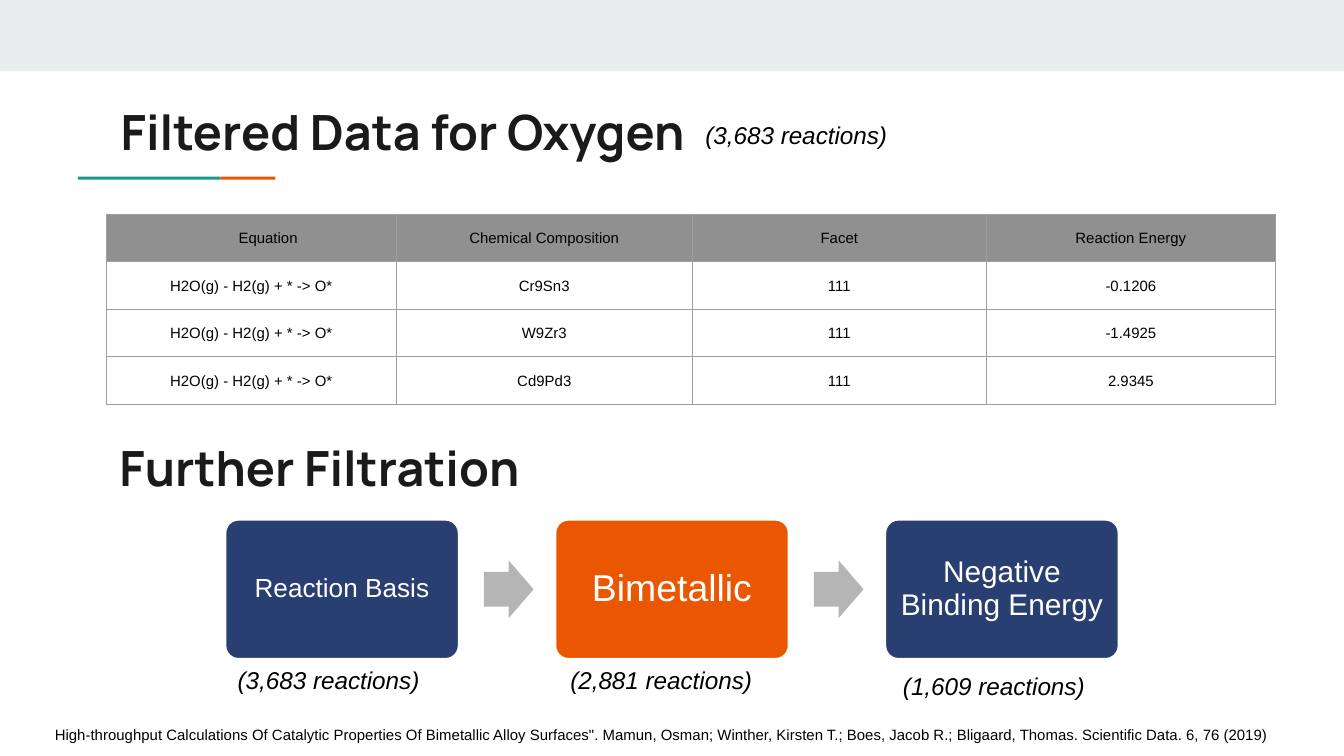
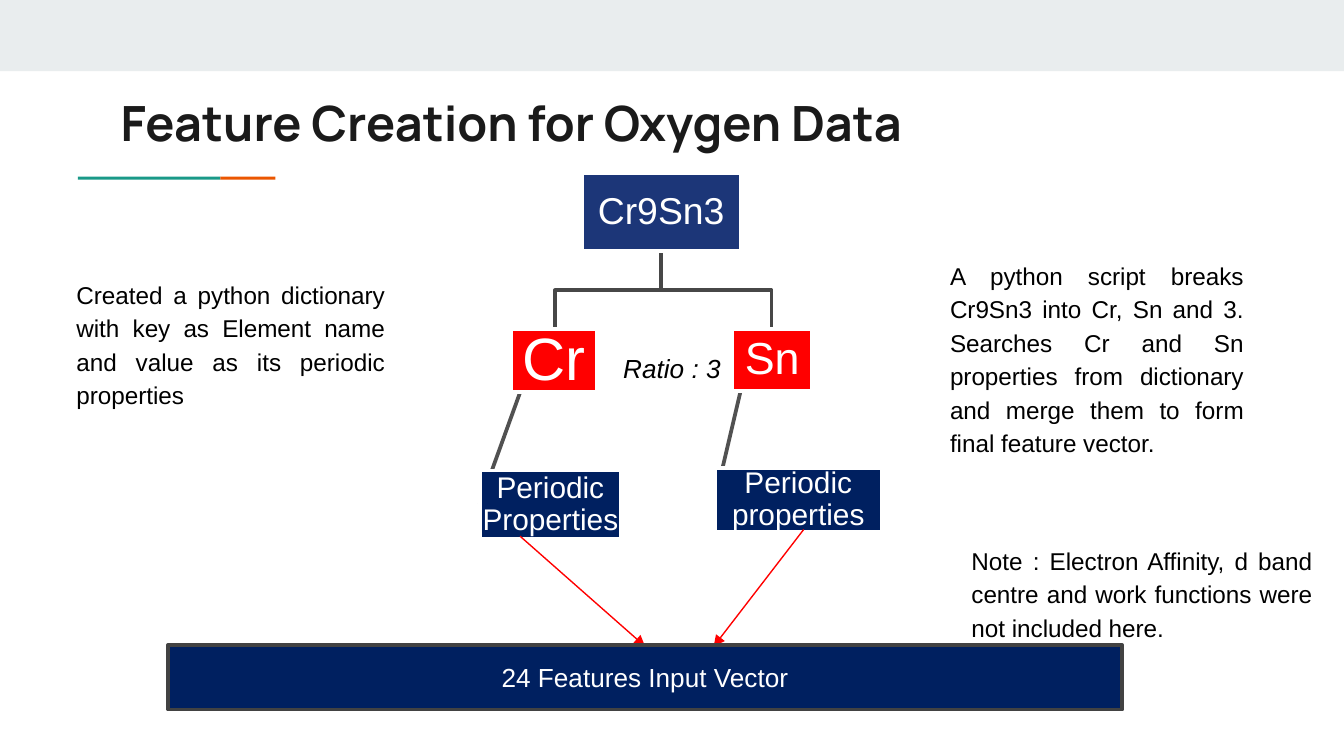
"""Build two slides on filtering oxygen reactions and creating features from them."""
import dataclasses

import lxml.etree
import pptx
import pptx.dml.color
import pptx.enum.shapes
import pptx.enum.text
import pptx.oxml
import pptx.oxml.ns
import pptx.util


@dataclasses.dataclass(frozen=True)
class Theme:
    head: str = "Manrope"
    body: str = "Arial"
    ink: str = "1A1A1A"
    black: str = "000000"
    white: str = "FFFFFF"
    band: str = "E9EDEE"
    teal: str = "1A9988"
    orange: str = "EB5600"
    navy: str = "002060"
    slate: str = "293E71"
    blue: str = "1C3678"
    red: str = "FF0000"
    arrow: str = "B5B5B5"
    gray: str = "808080"
    rule: str = "9E9E9E"
    stem: str = "474747"
    twig: str = "515151"
    frame: str = "424242"
    title: int = 26
    note: int = 13
    label: int = 14
    mid: int = 16
    large: int = 20
    small: int = 8


theme = Theme()
Color = pptx.dml.color.RGBColor.from_string
Form = pptx.enum.shapes.MSO_SHAPE
Align = pptx.enum.text.PP_ALIGN
Anchor = pptx.enum.text.MSO_ANCHOR
Pt = pptx.util.Pt
qn = pptx.oxml.ns.qn

deck = pptx.Presentation()
deck.slide_width = pptx.util.Inches(10)
cell = deck.slide_width // 100
deck.slide_height = int(56.25 * cell)


def say(frame, words, size, color, align=Align.LEFT, lead=1.0, face=theme.body, bold=False, slant=False):
    para = frame.paragraphs[0]
    para.alignment = align
    para.line_spacing = lead
    run = para.add_run()
    run.text = words
    font = run.font
    font.name, font.size, font.bold, font.italic = face, Pt(size), bold, slant
    font.color.rgb = Color(color)


def put(page, box, form=None, fill=None, edge=None, words="", inset=1, **style):
    spot = [int(n * cell) for n in box]
    if form is None:
        shape = page.shapes.add_textbox(*spot)
    else:
        shape = page.shapes.add_shape(form, *spot)
        shape.shadow.inherit = False
        shape.fill.solid()
        shape.fill.fore_color.rgb = Color(fill)
        shape.line.fill.background()
        if edge:
            shape.line.color.rgb = Color(edge)
            shape.line.width = Pt(2)
    if words:
        frame = shape.text_frame
        frame.word_wrap = True
        frame.vertical_anchor = Anchor.TOP if form is None else Anchor.MIDDLE
        frame.margin_left = frame.margin_right = int(inset * cell)
        frame.margin_top = frame.margin_bottom = int(inset * cell)
        say(frame, words, **style)
    return shape


head = dict(size=theme.title, color=theme.ink, face=theme.head, bold=True)
note = dict(size=theme.note, color=theme.black, align=Align.JUSTIFY, lead=1.15)
node = dict(color=theme.white, align=Align.CENTER, lead=0.9)

pages = []
for words, top in (("Filtered Data for Oxygen", 6.6), ("Feature Creation for Oxygen Data", 5.9)):
    page = deck.slides.add_slide(deck.slide_layouts[6])
    put(page, (0, 0, 100, 5.3), Form.RECTANGLE, theme.band)
    put(page, (5.8, 13.15, 10.6, 0.22), Form.RECTANGLE, theme.teal)
    put(page, (16.4, 13.15, 4.1, 0.22), Form.RECTANGLE, theme.orange)
    put(page, (8, top, 84.1, 5.9), words=words, **head)
    pages.append(page)
data, tree = pages

put(data, (51.5, 7.6, 17.2, 5), words="(3,683 reactions)", slant=True, **note)
put(data, (3.1, 53.3, 93.7, 2.9), size=theme.small, color=theme.black,
    words='High-throughput Calculations Of Catalytic Properties Of Bimetallic Alloy Surfaces". '
          'Mamun, Osman; Winther, Kirsten T.; Boes, Jacob R.; Bligaard, Thomas. '
          'Scientific Data. 6, 76 (2019)')

step = "H2O(g) - H2(g) + * -> O*"
rows = (
    ("Equation", "Chemical Composition", "Facet", "Reaction Energy"),
    (step, "Cr9Sn3", "111", "-0.1206"),
    (step, "W9Zr3", "111", "-1.4925"),
    (step, "Cd9Pd3", "111", "2.9345"),
)
spot = [int(n * cell) for n in (7.9, 15.95, 87, 13.5)]
grid = data.shapes.add_table(4, 4, *spot).table
grid.first_row = grid.horz_banding = False
for col, wide in zip(grid.columns, (21.6, 22, 21.9, 21.5)):
    col.width = int(wide * cell)
for r, row in enumerate(rows):
    for c, words in enumerate(row):
        box = grid.cell(r, c)
        box.margin_left = box.margin_right = box.margin_top = box.margin_bottom = cell
        say(box.text_frame, words, theme.small, theme.black, Align.CENTER, 1.15)
        prop = box._tc.get_or_add_tcPr()
        for side in ("a:lnL", "a:lnR", "a:lnT", "a:lnB"):
            line = lxml.etree.SubElement(prop, qn(side), w=str(Pt(0.75)))
            paint = lxml.etree.SubElement(line, qn("a:solidFill"))
            lxml.etree.SubElement(paint, qn("a:srgbClr"), val=theme.rule)
        if r:
            box.fill.background()
        else:
            box.fill.solid()
            box.fill.fore_color.rgb = Color(theme.gray)
            tint = prop.find(qn("a:solidFill")).find(qn("a:srgbClr"))
            lxml.etree.SubElement(tint, qn("a:alpha"), val="87000")
lead = grid.cell(0, 0).text_frame.paragraphs[0]._p.get_or_add_pPr()
lead.set("marL", str(int(3.1 * cell)))
lead.set("indent", str(int(-0.6 * cell)))

put(data, (7.9, 31.6, 84.1, 5.9), words="Further Filtration", **head)
flow = (
    ("Reaction Basis", theme.slate, theme.label, 0.6, "(3,683 reactions)", 48.2),
    ("Bimetallic", theme.orange, theme.large, 0.8, "(2,881 reactions)", 48.2),
    ("Negative Binding Energy", theme.slate, theme.mid, 0.7, "(1,609 reactions)", 48.6),
)
pitch = 24.55
for i, (words, fill, size, inset, count, top) in enumerate(flow):
    left = 16.7 + i * pitch
    put(data, (left, 38.6, 17.5, 10.5), Form.ROUNDED_RECTANGLE, fill, theme.white,
        words, inset, size=size, **node).adjustments[0] = 0.1
    put(data, (16.7 + i * 24.75, top, 17.2, 5), words=count, slant=True, **note)
    if i < len(flow) - 1:
        arrow = put(data, (left + 19.3, 41.7, 3.7, 4.3), Form.RIGHT_ARROW, theme.arrow)
        arrow.adjustments[0] = 0.6

links = (
    (theme.twig, (55.1, 29.1), (53.2, 37.2)),
    (theme.stem, (49.2, 18.7), (49.2, 21.6), (57.4, 21.6), (57.4, 24.5)),
    (theme.twig, (38.7, 29.2), (35.7, 37.5)),
    (theme.stem, (49.2, 18.7), (49.2, 21.6), (41.3, 21.6), (41.3, 24.5)),
)
for color, *dots in links:
    dots = [(int(x * cell), int(y * cell)) for x, y in dots]
    pen = tree.shapes.build_freeform(*dots[0])
    pen.add_line_segments(dots[1:], close=False)
    link = pen.convert_to_shape()
    link.shadow.inherit = False
    link.fill.background()
    link.line.color.rgb = Color(color)
    link.line.width = Pt(2)

nodes = (
    ("Cr9Sn3", (43.3, 12.9, 11.8, 5.8), theme.blue, theme.large),
    ("Cr", (38, 24.5, 6.4, 4.7), theme.red, 32),
    ("Periodic Properties", (35.7, 35, 10.5, 5.1), theme.navy, theme.mid),
    ("Sn", (54.5, 24.5, 5.9, 4.6), theme.red, 24),
    ("Periodic properties", (53.2, 34.8, 12.4, 4.8), theme.navy, theme.mid),
)
for words, box, fill, size in nodes:
    put(tree, box, Form.RECTANGLE, fill, theme.white, words, 0.1, size=size, **node)
put(tree, (41.4, 24.9, 17.2, 5), words="Ratio : 3", size=theme.label, color=theme.black,
    align=Align.CENTER, lead=1.15, slant=True)

for ends in ((59.8, 39.4, 53.1, 48.1), (38.7, 39.9, 48, 48.1)):
    ray = tree.shapes.add_connector(pptx.enum.shapes.MSO_CONNECTOR.STRAIGHT,
                                    *[int(n * cell) for n in ends])
    ray.line.color.rgb = Color(theme.red)
    ray.line.width = Pt(0.75)
    lxml.etree.SubElement(ray.line._get_or_add_ln(), qn("a:tailEnd"), type="triangle")
    lxml.etree.SubElement(ray._element.spPr, qn("a:effectLst"))

put(tree, (12.5, 48, 71, 4.8), Form.RECTANGLE, theme.navy, theme.frame,
    "24 Features Input Vector", 0.5, size=theme.label, color=theme.white, align=Align.CENTER)
notes = (
    ((69.7, 18.1, 23.8, 23.7), "A python script breaks Cr9Sn3 into Cr, Sn and 3. Searches Cr and Sn "
                               "properties from dictionary and merge them to form final feature vector."),
    ((4.7, 19.5, 24.9, 12), "Created a python dictionary with key as Element name and value as its "
                            "periodic properties"),
    ((71.3, 39.3, 27.3, 9.5), "Note : Electron Affinity, d band centre and work functions were not "
                              "included here."),
)
for box, words in notes:
    put(tree, box, words=words, **note)

deck.save("out.pptx")
